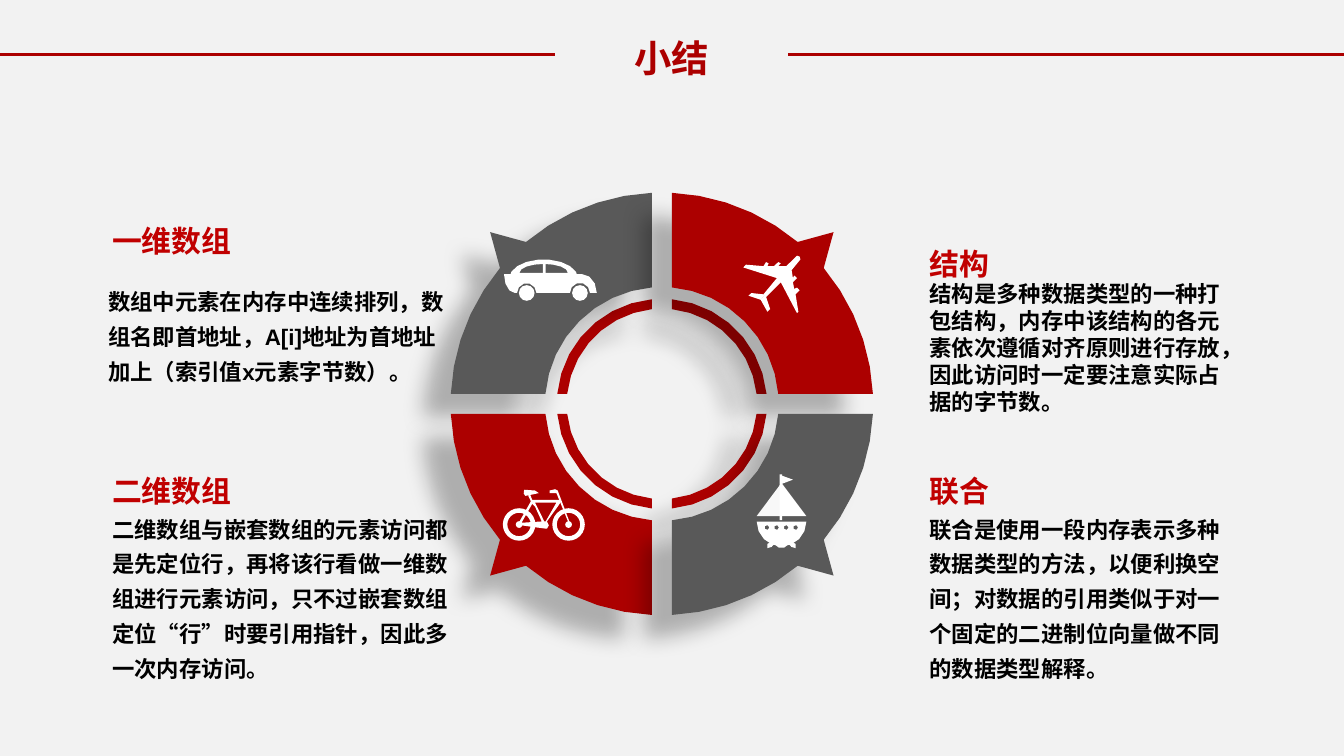
from math import asin, ceil, cos, degrees, radians, sin, sqrt

from pptx import Presentation
from pptx.dml.color import RGBColor
from pptx.enum.shapes import MSO_CONNECTOR, MSO_SHAPE
from pptx.enum.text import MSO_AUTO_SIZE, PP_ALIGN
from pptx.oxml import parse_xml
from pptx.oxml.ns import nsdecls, qn
from pptx.util import Pt

COLORS = {"bg": "F2F2F2", "red": "AC0000", "gray": "595959", "heading": "C00000",
          "text": "000000", "white": "FFFFFF", "sail": "F8F8F8"}
CX, CY, HALF_GAP = 354.6, 216.4, 5.4
SHADOW = ('<a:outerShdw %s blurRad="%d" dist="%d" dir="8460000" algn="tr" rotWithShape="0">'
          '<a:srgbClr val="000000"><a:alpha val="28000"/></a:srgbClr></a:outerShdw>')


def rgb(name):
    return RGBColor.from_string(COLORS[name])


def arc(cx, cy, rx, ry, start, end):
    steps = ceil(sqrt(rx) * abs(end - start) / 90)
    angles = [radians(start + (end - start) * i / steps) for i in range(steps + 1)]
    return [(cx + rx * cos(a), cy + ry * sin(a)) for a in angles]


def crescent(cx, start, end):
    cy = 288.7
    return arc(cx, cy, 4.6, 5, start, end) + arc(cx, cy, 2.3, 2.7, end, start)


def ring_part(sx, sy, inner, outer, pointer=False):
    a, b = (degrees(asin(HALF_GAP / r)) for r in (outer, inner))
    if pointer:
        edge = arc(0, 0, outer, outer, a, 40) + [(92, 92)] + arc(0, 0, outer, outer, 50, 90 - a)
    else:
        edge = arc(0, 0, outer, outer, a, 90 - a)
    edge += arc(0, 0, inner, inner, 90 - b, b)
    return [(CX + sx * x, CY + sy * y) for x, y in edge]


class Deck:
    """Style and drawing methods for the current slide."""

    def __init__(self):
        self.prs = Presentation()
        self.prs.slide_width, self.prs.slide_height = Pt(720), Pt(405)
        self.s = self.prs.slides.add_slide(self.prs.slide_layouts[6])
        fill = self.s.background.fill
        fill.solid()
        fill.fore_color.rgb = rgb("bg")

    def paint(self, sp, color):
        sp.shadow.inherit = False
        sp.fill.solid()
        sp.fill.fore_color.rgb = rgb(color)
        sp.line.fill.background()
        return sp

    def outline(self, color, *contours, shadow=False):
        first, *others = [[(Pt(x), Pt(y)) for x, y in c] for c in contours]
        builder = self.s.shapes.build_freeform(*first[0])
        builder.add_line_segments(first[1:], close=True)
        for c in others:
            builder.move_to(*c[0])
            builder.add_line_segments(c[1:], close=True)
        sp = self.paint(builder.convert_to_shape(), color)
        if shadow:
            effects = sp._element.spPr.find(qn("a:effectLst"))
            effects.append(parse_xml(SHADOW % (nsdecls("a"), Pt(11.8), Pt(19.7))))
        return sp

    def preset(self, kind, x, y, w, h, color="white"):
        return self.paint(self.s.shapes.add_shape(kind, Pt(x), Pt(y), Pt(w), Pt(h)), color)

    def disc(self, cx, cy, r, color="white", kind=MSO_SHAPE.OVAL):
        return self.preset(kind, cx - r, cy - r, 2 * r, 2 * r, color)

    def group(self, *shapes):
        self.s.shapes.add_group_shape(shapes)

    def rule(self, x1, x2, y):
        line = self.s.shapes.add_connector(MSO_CONNECTOR.STRAIGHT, Pt(x1), Pt(y), Pt(x2), Pt(y))
        line.line.color.rgb = rgb("red")
        line.line.width = Pt(2)
        line._element.spPr.append(parse_xml("<a:effectLst %s/>" % nsdecls("a")))

    def text(self, text, x, y, w, h, size, color, spacing=1.3, font="Arial",
             align=PP_ALIGN.LEFT, inset=(5.4, 2.7)):
        tf = self.s.shapes.add_textbox(Pt(x), Pt(y), Pt(w), Pt(h)).text_frame
        tf.word_wrap = True
        tf.auto_size = MSO_AUTO_SIZE.SHAPE_TO_FIT_TEXT
        tf.margin_left = tf.margin_right = Pt(inset[0])
        tf.margin_top = tf.margin_bottom = Pt(inset[1])
        p = tf.paragraphs[0]
        p.text = text
        p.alignment = align
        p.line_spacing = spacing
        p._p.get_or_add_pPr().set("hangingPunct", "1")
        p.font.name, p.font.size, p.font.bold = font, Pt(size), True
        p.font.color.rgb = rgb(color)


def draw_ring(d):
    corners = [(-1, -1, "gray"), (-1, 1, "red"), (1, -1, "red"), (1, 1, "gray")]
    d.outline("red", *[ring_part(sx, sy, 51, 56.3) for sx, sy, _ in corners], shadow=True)
    for sx, sy, color in corners:
        d.outline(color, ring_part(sx, sy, 62.6, 113.2, pointer=True), shadow=True)


def draw_car(d):
    body = ([(270, 146.9)] + arc(311.8, 156.9, 7.9, 10, -90, 0)
            + arc(310.7, 157, 5.4, 5.4, 0, -180) + arc(282.2, 157, 5.2, 5.2, 0, -180)
            + arc(275.8, 146.9, 5.8, 10.1, 90, 180))
    d.group(d.outline("white", body),
            d.outline("white", arc(291.3, 149, 18.4, 10, 180, 360),
                      arc(291.3, 146.2, 13, 4.8, 180, 360)),
            d.preset(MSO_SHAPE.RECTANGLE, 290.9, 139.7, 1.4, 7.9),
            d.disc(282.2, 157, 4.2), d.disc(310.7, 157, 4.2))


def draw_plane(d):
    lower = [(424.1, 144.7), (424.8, 149), (425.5, 147.6), (427, 149), (424.8, 151.2),
             (425.5, 154.8), (427, 154.1), (428.4, 155.5), (426.2, 157.7), (427.7, 167),
             (427, 167.8), (418.3, 151.2), (410.4, 159.1), (412.6, 165.6), (411.1, 167),
             (407.5, 160.6), (419.8, 145.4), (428.4, 137.5), (428.8, 139)]
    upper = [(421.2, 142.6), (416.9, 142.6), (418.3, 141.1), (416.9, 140.4), (414.7, 142.6),
             (411.1, 142.6), (411.8, 141.1), (410.4, 140.4), (409, 142.6), (399.6, 141.8),
             (398.2, 143.3), (416.2, 149), (409, 157.7), (402.5, 157), (401, 158.4),
             (407.5, 160.6), (428.4, 137.5), (427, 137)]
    d.group(d.outline("white", lower), d.outline("white", upper))


def draw_bike(d):
    wheels = [d.disc(x, 281, 8.7, kind=MSO_SHAPE.DONUT) for x in (278.1, 304.6)]
    for wheel in wheels:
        wheel.adjustments[0] = 0.14
    hubs = [d.disc(x, 281, 1.8) for x in (278.1, 304.6)]
    fork = [(305.3, 280.1), (298.8, 262.8), (297.4, 262.1), (294.5, 262.8), (294.5, 264.2),
            (298.1, 264.2), (304.6, 280.1)]
    frame = [(300.2, 267.8), (285.1, 267.8), (283.7, 264.2), (283, 265.7), (284.4, 268.6),
             (277.9, 280.1), (279.4, 281.5), (290.2, 283), (293, 283.3), (294, 281.5),
             (293, 279.4), (298.8, 271.4), (300.2, 269.3)]
    rear_gap = [(279.4, 280.1), (285.1, 270), (286.6, 271.4), (290.2, 279.4)]
    front_gap = [(292.3, 279.4), (291.6, 279.4), (286.6, 269.3), (298.1, 269.3)]
    seat = [(288.7, 264.2), (286.6, 262.8), (280.8, 262.4), (280.6, 264.5), (281.5, 265.7),
            (285.1, 265)]
    d.group(*wheels, *hubs, d.outline("white", fork),
            d.outline("white", frame, rear_gap, front_gap), d.outline("white", seat))


def draw_boat(d):
    portholes = [arc(410.9 + 5.13 * i, 282.6, 1.3, 1.3, 0, 360) for i in range(4)]
    waves = [(411.1, 0, 90), (418.7, 0, 180), (426.3, 90, 180)]
    d.group(d.outline("white", arc(418.7, 279.4, 13.3, 13.3, 0, 180), *portholes),
            d.outline("sail", [(418.3, 259.2), (405.4, 276.5), (419, 276.5)]),
            d.outline("white", [(419, 259.2), (432, 276.5), (418.3, 276.5)]),
            d.preset(MSO_SHAPE.RECTANGLE, 417.6, 254.2, 1.4, 24.5),
            d.outline("white", *[crescent(*wave) for wave in waves]),
            d.outline("white", [(419, 254.9), (424.8, 257), (419, 259.2)]))


def main():
    d = Deck()
    draw_ring(d)
    for draw in (draw_car, draw_plane, draw_bike, draw_boat):
        draw(d)

    left, right, upper, lower = 54.7, 492.5, 147.6, 269.3
    bodies = [
        ("数组中元素在内存中连续排列，数组名即首地址，A[i]地址为首地址加上（索引值x元素字节数）。",
         52.5, upper, 196.6, 60.5, 1.3),
        ("结构是多种数据类型的一种打包结构，内存中该结构的各元素依次遵循对齐原则进行存放，"
         "因此访问时一定要注意实际占据的字节数。", right, upper, 174.2, 77.8, 1),
        ("二维数组与嵌套数组的元素访问都是先定位行，再将该行看做一维数组进行元素访问，"
         "只不过嵌套数组定位“行”时要引用指针，因此多一次内存访问。", left, lower, 196.6, 97.9, 1.3),
        ("联合是使用一段内存表示多种数据类型的方法，以便利换空间；对数据的引用类似于对一个固定的"
         "二进制位向量做不同的数据类型解释。", right, lower, 174.2, 97.9, 1.3)]
    for text, x, y, w, h, spacing in bodies:
        d.text(text, x, y, w, h, 12, "text", spacing)
    headings = [("一维数组", left, 110.9, 101.5), ("结构", right, 123.1, 129.6),
                ("二维数组", left, 244.8, 129.6), ("联合", right, 244.8, 129.6)]
    for text, x, y, w in headings:
        d.text(text, x, y, w, 28.1, 16, "heading")

    d.rule(0, 297.6, 29.2)
    d.rule(422.4, 720, 29.2)
    d.text("小结", 297.6, 15.1, 124.8, 31.7, 20, "red", 1, "Noto Sans CJK SC",
           PP_ALIGN.CENTER, (7.2, 3.6))
    d.prs.save("out.pptx")


if __name__ == "__main__":
    main()
